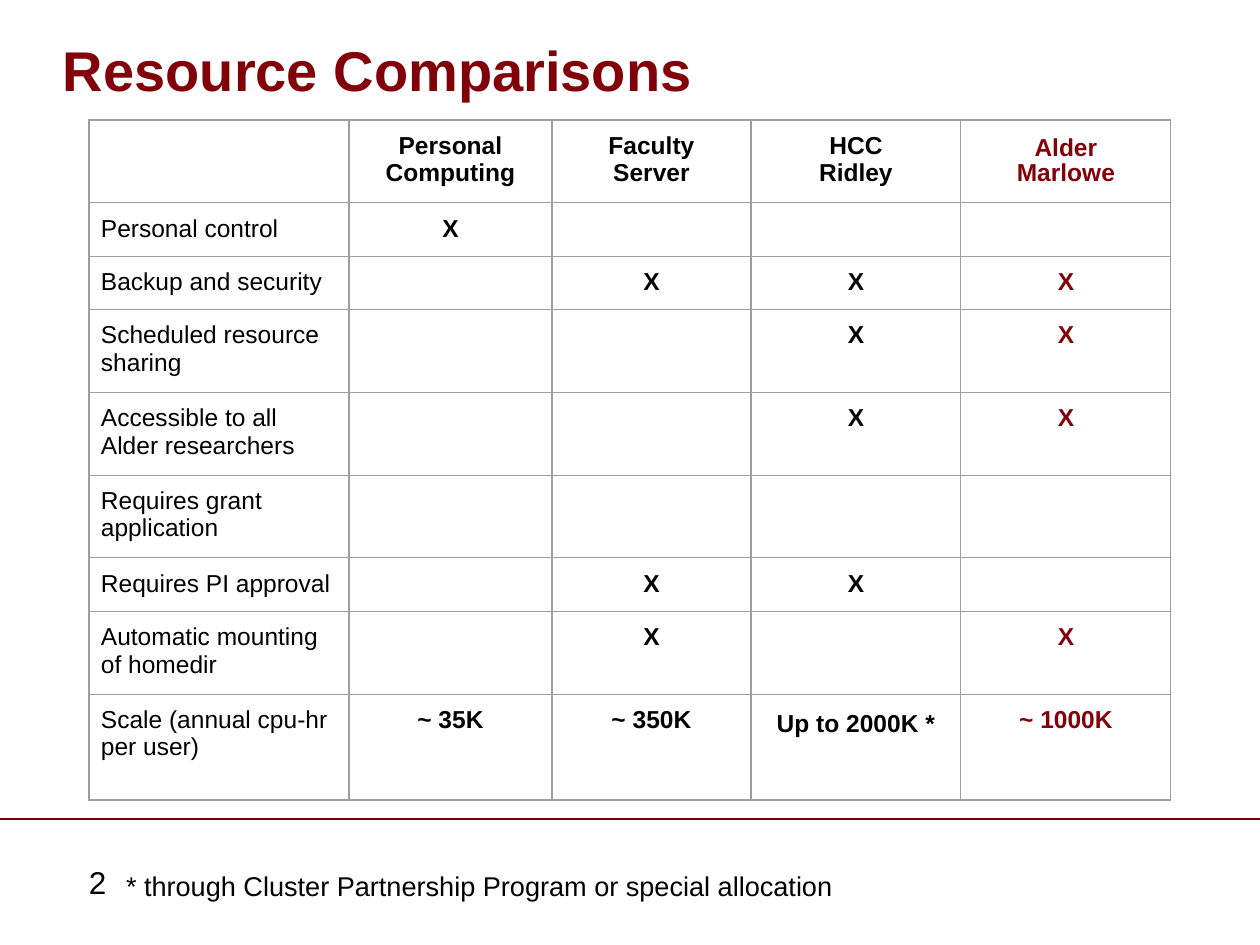
from lxml.etree import SubElement
from pptx import Presentation
from pptx.dml.color import RGBColor
from pptx.enum.shapes import MSO_CONNECTOR
from pptx.enum.text import MSO_ANCHOR, PP_ALIGN
from pptx.oxml.ns import qn
from pptx.util import Pt

EMU_PER_PX = 914400 / 126
FONT = "Arial"
BLACK = RGBColor(0x00, 0x00, 0x00)
MAROON = RGBColor(0x82, 0x00, 0x09)
DARK_MAROON = RGBColor(0x6E, 0x00, 0x00)
GREY = RGBColor(0x9E, 0x9E, 0x9E)

COLUMN_WIDTHS = [260, 203, 199, 210, 210]
ROW_HEIGHTS = [80, 53, 53, 80, 80, 80, 53, 80, 106]
ROWS = [
    ["", "Personal Computing", "Faculty\nServer", "HCC\nRidley", "Alder\nMarlowe"],
    ["Personal control", "X", "", "", ""],
    ["Backup and security", "", "X", "X", "X"],
    ["Scheduled resource sharing", "", "", "X", "X"],
    ["Accessible to all Alder researchers", "", "", "X", "X"],
    ["Requires grant application", "", "", "", ""],
    ["Requires PI approval", "", "X", "X", ""],
    ["Automatic mounting of homedir", "", "X", "", "X"],
    ["Scale (annual cpu-hr\nper user)", "~ 35K", "~ 350K", "Up to 2000K *", "~ 1000K"],
]


def px(length):
    return round(length * EMU_PER_PX)


def format_text(text_frame, size, color=BLACK, bold=False, align=PP_ALIGN.LEFT, line_spacing=None):
    for paragraph in text_frame.paragraphs:
        paragraph.alignment = align
        paragraph.line_spacing = line_spacing
        for run in paragraph.runs:
            run.font.name = FONT
            run.font.size = Pt(size)
            run.font.bold = bold
            run.font.color.rgb = color


def set_margins(target, horizontal, vertical):
    target.margin_left = target.margin_right = px(horizontal)
    target.margin_top = target.margin_bottom = px(vertical)


def add_text(slide, text, box, margins, size, **style):
    text_frame = slide.shapes.add_textbox(*map(px, box)).text_frame
    text_frame.word_wrap = True
    set_margins(text_frame, *margins)
    text_frame.text = text
    format_text(text_frame, size, **style)
    return text_frame


def add_rule(slide, y, width):
    rule = slide.shapes.add_connector(MSO_CONNECTOR.STRAIGHT, 0, px(y), px(width), px(y))
    rule.line.color.rgb = DARK_MAROON
    rule.line.width = Pt(0.75)
    SubElement(rule._element.spPr, qn("a:effectLst"))


def style_cell(cell):
    properties = cell._tc.get_or_add_tcPr()
    for side in ("a:lnL", "a:lnR", "a:lnT", "a:lnB"):
        border = SubElement(properties, qn(side), w=str(Pt(0.75)))
        fill = SubElement(border, qn("a:solidFill"))
        SubElement(fill, qn("a:srgbClr"), val=str(GREY))
    cell.fill.background()


def fill_cell(cell, text, is_label, is_highlight):
    set_margins(cell, 12, 12)
    cell.text_frame.text = text
    format_text(
        cell.text_frame,
        14,
        color=MAROON if is_highlight else BLACK,
        bold=not is_label,
        align=PP_ALIGN.LEFT if is_label else PP_ALIGN.CENTER,
    )


def add_comparison_table(slide, left, top):
    frame = slide.shapes.add_table(
        len(ROWS), len(COLUMN_WIDTHS), px(left), px(top), px(sum(COLUMN_WIDTHS)), px(sum(ROW_HEIGHTS))
    )
    table = frame.table
    table.first_row = False
    table.horz_banding = False
    for column, width in zip(table.columns, COLUMN_WIDTHS):
        column.width = px(width)
    for row, height, texts in zip(table.rows, ROW_HEIGHTS, ROWS):
        row.height = px(height)
        for index, (cell, text) in enumerate(zip(row.cells, texts)):
            style_cell(cell)
            if text:
                fill_cell(cell, text, index == 0, index == len(texts) - 1)
    return table


def adjust_special_cells(table):
    highlight_header = table.cell(0, 4)
    highlight_header.vertical_anchor = MSO_ANCHOR.MIDDLE
    for paragraph in highlight_header.text_frame.paragraphs:
        paragraph.line_spacing = 0.9
    footnoted = table.cell(8, 3).text_frame.paragraphs[0]
    footnoted.line_spacing = 1.15
    footnoted.space_before = footnoted.space_after = Pt(12)


def main():
    presentation = Presentation()
    presentation.slide_width = px(1260)
    presentation.slide_height = px(945)
    slide = presentation.slides.add_slide(presentation.slide_layouts[6])

    add_rule(slide, 819, 1260)
    add_text(slide, "2", (76, 857, 64, 50), (13, 6), 18)
    title = add_text(
        slide, "Resource Comparisons", (63, 15, 1134, 89), (0, 0), 32,
        color=MAROON, bold=True, line_spacing=0.9,
    )
    title.vertical_anchor = MSO_ANCHOR.BOTTOM
    adjust_special_cells(add_comparison_table(slide, 89, 120))
    footnote = add_text(
        slide, "* through Cluster Partnership Program or special allocation",
        (113, 852, 790, 115), (13, 13), 15.5, line_spacing=1.15,
    )
    footnote.paragraphs[0].space_before = Pt(12)

    presentation.save("out.pptx")


if __name__ == "__main__":
    main()
